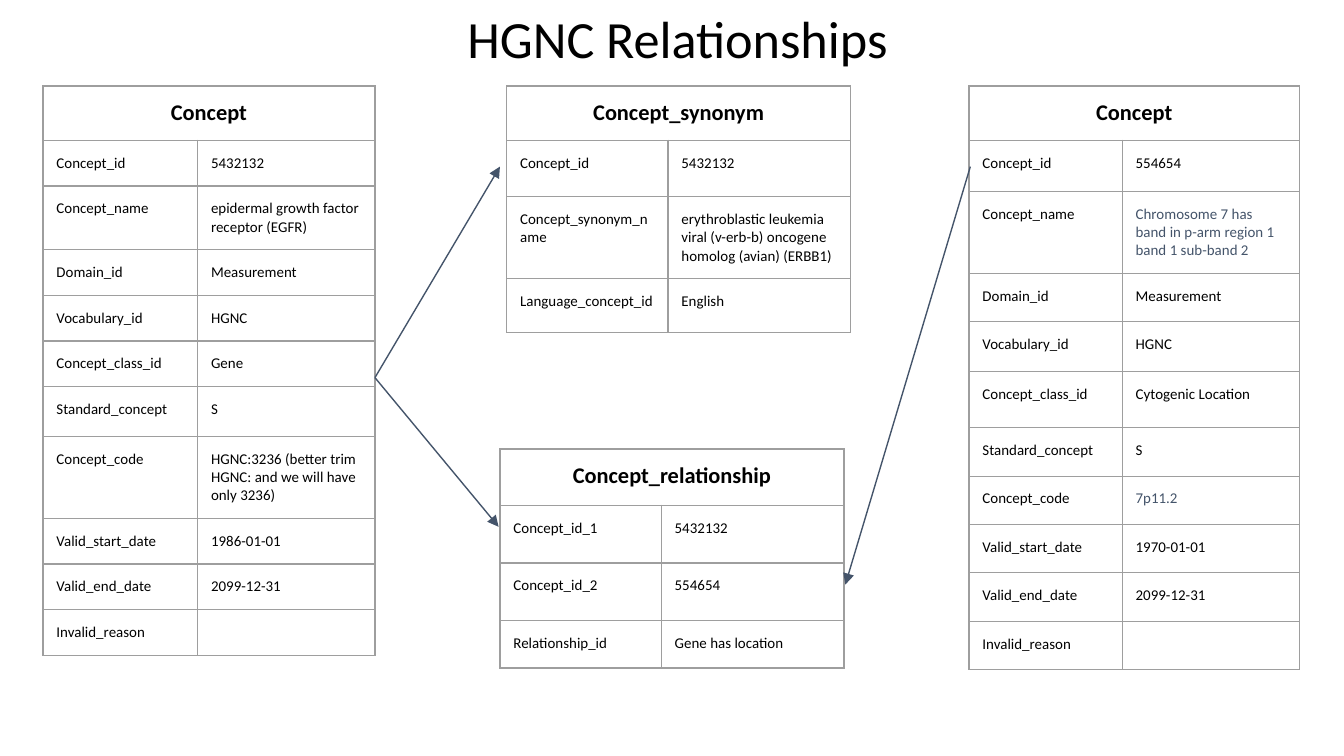
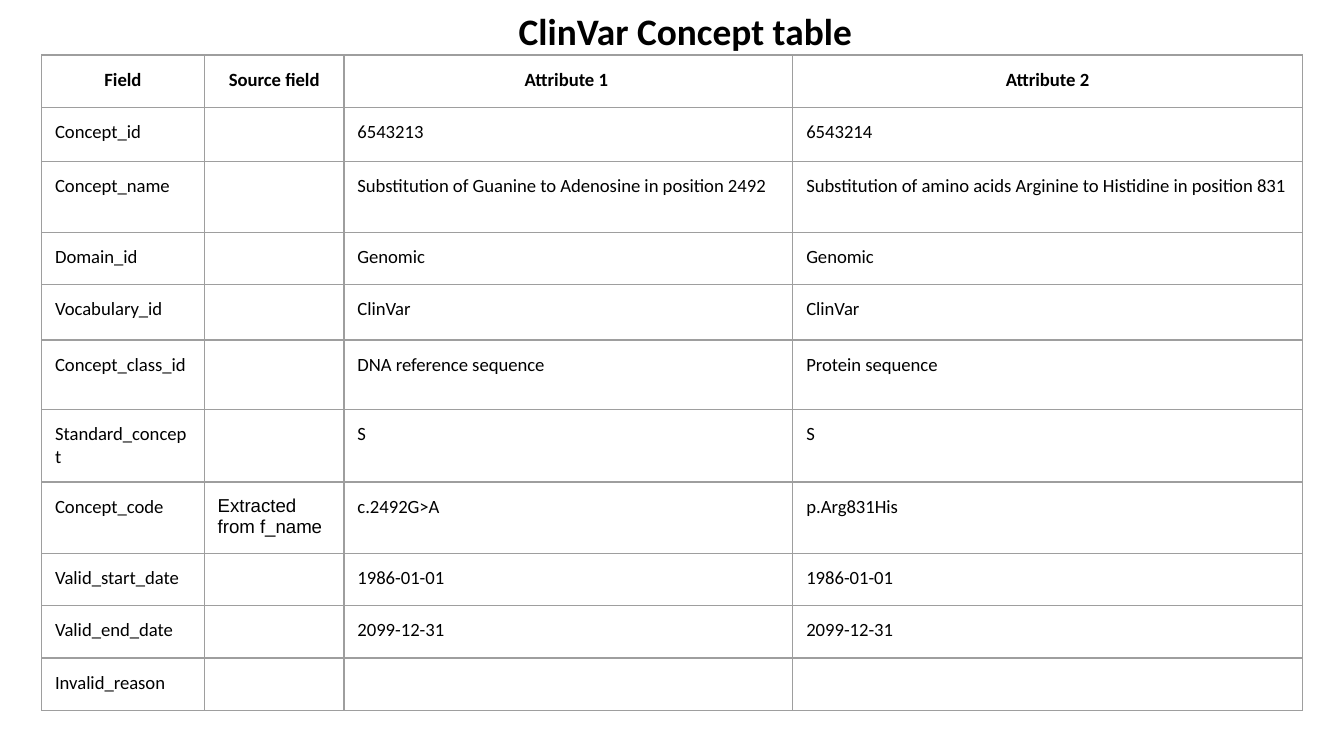
import pptx
import pptx.dml.color
import pptx.enum.shapes
import pptx.enum.text
import pptx.oxml
import pptx.oxml.ns
import pptx.util
from lxml import etree

Inches = pptx.util.Inches
Pt = pptx.util.Pt
RGBColor = pptx.dml.color.RGBColor
qn = pptx.oxml.ns.qn
CENTER = pptx.enum.text.PP_ALIGN.CENTER

BLACK = RGBColor(0x00, 0x00, 0x00)
SLATE = RGBColor(0x44, 0x54, 0x6A)
GRID = RGBColor(0x9E, 0x9E, 0x9E)
FONT = "Calibri"
INSET = Inches(0.1)
MARGINS = ("margin_left", "margin_right", "margin_top", "margin_bottom")
TITLE_ONLY = 5

GENE = [
    ("Concept_id", "5432132"),
    ("Concept_name", "epidermal growth factor receptor (EGFR)"),
    ("Domain_id", "Measurement"),
    ("Vocabulary_id", "HGNC"),
    ("Concept_class_id", "Gene"),
    ("Standard_concept", "S"),
    ("Concept_code", "HGNC:3236 (better trim HGNC: and we will have only 3236)"),
    ("Valid_start_date", "1986-01-01"),
    ("Valid_end_date", "2099-12-31"),
    ("Invalid_reason", ""),
]
SYNONYM = [
    ("Concept_id", "5432132"),
    ("Concept_synonym_name",
     "erythroblastic leukemia viral (v-erb-b) oncogene homolog (avian) (ERBB1)"),
    ("Language_concept_id", "English"),
]
LOCATION = [
    ("Concept_id", "554654"),
    ("Concept_name", ("Chromosome 7 has band in p-arm region 1 band 1 sub-band 2",
                      {"color": SLATE})),
    ("Domain_id", "Measurement"),
    ("Vocabulary_id", "HGNC"),
    ("Concept_class_id", "Cytogenic Location"),
    ("Standard_concept", "S"),
    ("Concept_code", ("7p11.2", {"color": SLATE})),
    ("Valid_start_date", "1970-01-01"),
    ("Valid_end_date", "2099-12-31"),
    ("Invalid_reason", ""),
]
RELATIONSHIP = [
    ("Concept_id_1", "5432132"),
    ("Concept_id_2", "554654"),
    ("Relationship_id", "Gene has location"),
]
CLINVAR = [
    ("Field", "Source field", "Attribute 1 ", "Attribute 2"),
    ("Concept_id", "", "6543213", "6543214"),
    ("Concept_name", "", "Substitution of Guanine to Adenosine in position 2492",
     "Substitution of amino acids Arginine to Histidine in position 831"),
    ("Domain_id", "", "Genomic", "Genomic"),
    ("Vocabulary_id", "", "ClinVar", "ClinVar"),
    ("Concept_class_id", "", "DNA reference sequence", "Protein sequence"),
    ("Standard_concept", "", "S", "S"),
    ("Concept_code", ("Extracted from f_name", {"name": "Arial"}),
     "c.2492G>A", "p.Arg831His"),
    ("Valid_start_date", "", "1986-01-01", "1986-01-01"),
    ("Valid_end_date", "", "2099-12-31", "2099-12-31"),
    ("Invalid_reason", "", "", ""),
]


def format_font(font, size, bold=False, name=FONT, color=BLACK):
    for attribute, value in {"size": Pt(size), "bold": bold, "name": name}.items():
        setattr(font, attribute, value)
    font.color.rgb = color


def set_margins(target):
    for margin in MARGINS:
        setattr(target, margin, INSET)


def add_titled_slide(presentation, title, box, size, bold=False):
    slide = presentation.slides.add_slide(presentation.slide_layouts[TITLE_ONLY])
    shape = slide.shapes.title
    for attribute, value in zip(("left", "top", "width", "height"), box):
        setattr(shape, attribute, Inches(value))
    frame = shape.text_frame
    set_margins(frame)
    frame.word_wrap = True
    frame.auto_size = pptx.enum.text.MSO_AUTO_SIZE.NONE
    frame.vertical_anchor = pptx.enum.text.MSO_ANCHOR.TOP
    paragraph = frame.paragraphs[0]
    paragraph.alignment = CENTER
    paragraph.line_spacing = 0.9
    run = paragraph.add_run()
    run.text = title
    format_font(run.font, size, bold)
    return slide


def set_borders(cell):
    properties = cell._tc.get_or_add_tcPr()
    for side in ("lnL", "lnR", "lnT", "lnB"):
        line = etree.SubElement(properties, qn(f"a:{side}"), w=str(Pt(0.75)))
        fill = etree.SubElement(line, qn("a:solidFill"))
        etree.SubElement(fill, qn("a:srgbClr"), val=str(GRID))


def fill_cell(cell, content, size, header=False):
    """Write content, either a text or a (text, font overrides) pair."""
    text, overrides = content if isinstance(content, tuple) else (content, {})
    set_borders(cell)
    cell.fill.background()
    set_margins(cell)
    paragraph = cell.text_frame.paragraphs[0]
    if header:
        paragraph.alignment = CENTER
    if text:
        run = paragraph.add_run()
        run.text = text
        format_font(run.font, size, header, **overrides)
    else:
        # An empty cell would otherwise stretch its row to the default text size.
        etree.SubElement(paragraph._p, qn("a:endParaRPr"), sz=str(size * 100))


def add_grid(slide, left, top, widths, heights, rows, size, header_size):
    frame = slide.shapes.add_table(
        len(rows), len(widths), Inches(left), Inches(top),
        Inches(sum(widths)), Inches(sum(heights)))
    table = frame.table
    table.first_row = False
    table.horz_banding = False
    for column, width in zip(table.columns, widths):
        column.width = Inches(width)
    for row, height in zip(table.rows, heights):
        row.height = Inches(height)
    for row_index, row in enumerate(rows):
        header = row_index == 0
        for column_index, content in enumerate(row):
            fill_cell(table.cell(row_index, column_index), content,
                      header_size if header else size, header)
    return table


def add_concept_table(slide, name, left, top, widths, heights, fields):
    table = add_grid(slide, left, top, widths, heights,
                     [(name, "")] + fields, size=8, header_size=12)
    table.cell(0, 0).merge(table.cell(0, 1))


def add_arrow(slide, start, end):
    connector = slide.shapes.add_connector(
        pptx.enum.shapes.MSO_CONNECTOR.STRAIGHT,
        *(Inches(value) for value in start + end))
    connector.line.color.rgb = SLATE
    connector.line.width = Pt(0.75)
    etree.SubElement(connector.line._get_or_add_ln(), qn("a:tailEnd"), type="triangle")
    etree.SubElement(connector._element.spPr, qn("a:effectLst"))


def build_relationships(presentation):
    slide = add_titled_slide(presentation, "HGNC Relationships", (0.38, 0, 9.32, 0.63), 28)
    inner_widths = (1.2, 1.36)
    top = 0.64
    add_concept_table(slide, "Concept", 0.32, top, (1.15, 1.32),
                      [0.4, 0.34, 0.47] + [0.34] * 3 + [0.37, 0.6] + [0.34] * 3, GENE)
    add_concept_table(slide, "Concept_synonym", 3.77, top, inner_widths,
                      [0.4, 0.42, 0.6, 0.4], SYNONYM)
    add_concept_table(slide, "Concept", 7.21, top, (1.14, 1.32),
                      [0.4, 0.38, 0.6, 0.36, 0.37, 0.42] + [0.36] * 5, LOCATION)
    add_concept_table(slide, "Concept_relationship", 3.72, 3.34, inner_widths,
                      [0.42, 0.43, 0.43, 0.35], RELATIONSHIP)
    gene_side = (2.79, 2.81)
    add_arrow(slide, gene_side, (3.72, 1.24))
    add_arrow(slide, gene_side, (3.71, 3.92))
    add_arrow(slide, (7.22, 1.24), (6.29, 4.35))


def build_clinvar(presentation):
    slide = add_titled_slide(presentation, "ClinVar Concept table",
                             (0.51, 0, 9.18, 0.4), 20, bold=True)
    add_grid(slide, 0.31, 0.41, (1.21, 1.04, 3.34, 3.79),
             [0.39, 0.4, 0.53, 0.39, 0.41, 0.52, 0.53, 0.53] + [0.39] * 3,
             CLINVAR, size=10, header_size=10)


def main():
    presentation = pptx.Presentation()
    presentation.slide_width = Inches(10)
    presentation.slide_height = presentation.slide_width * 9 // 16
    build_relationships(presentation)
    build_clinvar(presentation)
    presentation.save("out.pptx")


if __name__ == "__main__":
    main()
